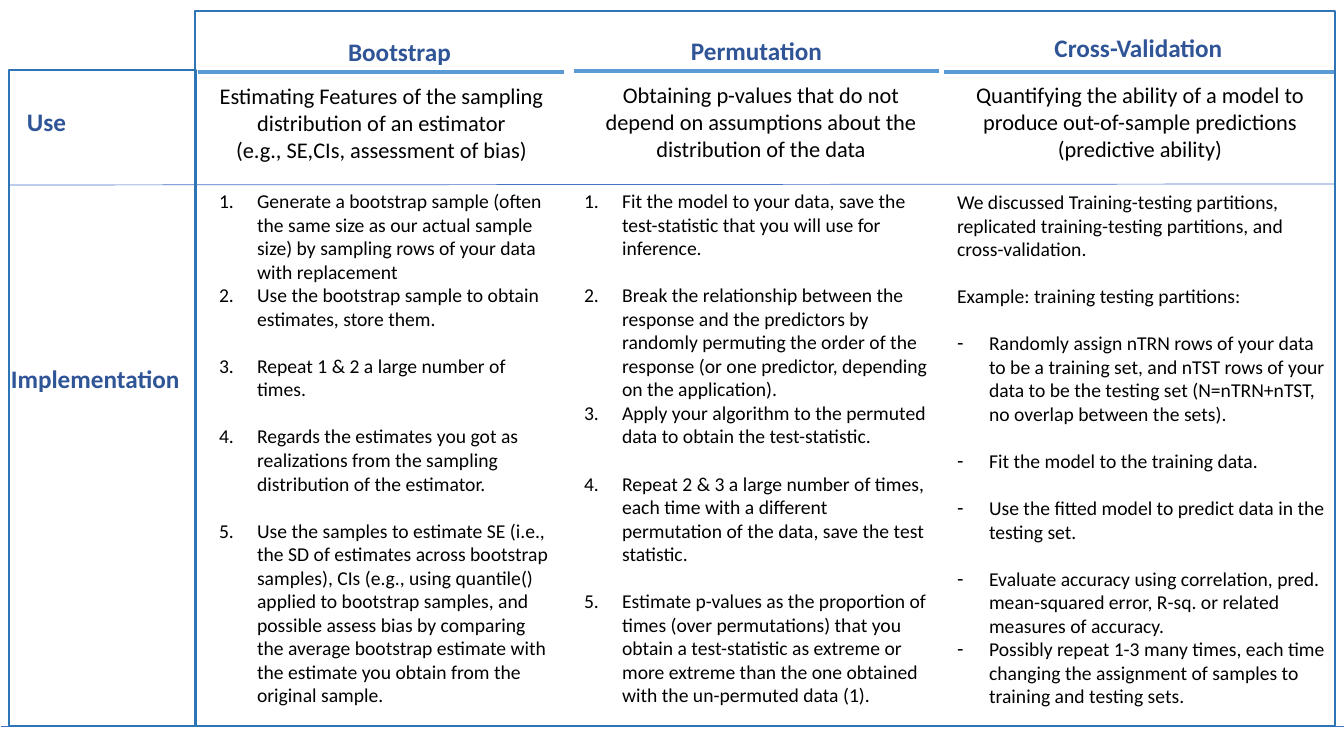
import pptx
import pptx.util
import pptx.dml.color
import pptx.enum.shapes
import pptx.enum.text
import pptx.oxml
import pptx.oxml.ns

SCALE = 914400 / 100.8
HUES = {"head": "2F5597", "text": "000000", "bar": "5B9BD5",
        "rule": "4472C4", "frame": "2E75B6"}
ALIGN = pptx.enum.text.PP_ALIGN
HEAD = {"size": pptx.util.Pt(18), "bold": True, "name": "Calibri"}
USE = {"size": pptx.util.Pt(16), "bold": False, "name": "Calibri"}
STEP = {"size": pptx.util.Pt(14), "bold": False, "name": "Calibri"}
BOX = {"word_wrap": True,
       "auto_size": pptx.enum.text.MSO_AUTO_SIZE.NONE,
       "vertical_anchor": pptx.enum.text.MSO_ANCHOR.TOP}
GAP = 16.8
INDENT = {"num": 38, "dash": 32, "plain": 0}
MARK = {"num": ("buAutoNum", "type", "arabicPeriod"),
        "dash": ("buChar", "char", "-"),
        "plain": ("buNone", None, None)}

HEADS = [
    ("Bootstrap", (261, 31, 277, 40), ALIGN.CENTER),
    ("Permutation", (618, 30, 277, 40), ALIGN.CENTER),
    ("Cross-Validation", (1000, 27, 277, 40), ALIGN.CENTER),
    ("Use", (17, 101, 182, 40), ALIGN.LEFT),
    ("Implementation", (1, 358, 212, 40), ALIGN.LEFT),
]
USES = [
    (["Estimating Features of the sampling distribution of an estimator",
      "(e.g., SE,CIs, assessment of bias)"], (195, 77, 373, 92)),
    (["Obtaining p-values that do not depend on assumptions about the "
      "distribution of the data"], (593, 76, 336, 146)),
    (["Quantifying the ability of a model to produce out-of-sample "
      "predictions (predictive ability)"], (952, 76, 376, 92)),
]
BOOT = [
    ("num", 0, "Generate a bootstrap sample (often the same size as our actual "
     "sample size) by sampling rows of your data with replacement"),
    ("num", 0, "Use the bootstrap sample to obtain estimates, store them."),
    ("num", 1, "Repeat 1 & 2 a large number of times."),
    ("num", 1, "Regards the estimates you got as realizations from the "
     "sampling distribution of the estimator."),
    ("num", 1, "Use the samples to estimate SE (i.e., the SD of estimates "
     "across bootstrap samples), CIs (e.g., using quantile() applied to "
     "bootstrap samples, and possible assess bias by comparing the average "
     "bootstrap estimate with the estimate you obtain from the original "
     "sample."),
]
PERM = [
    ("num", 0, "Fit the model to your data, save the test-statistic that you "
     "will use for inference."),
    ("num", 1, "Break the relationship between the response and the predictors "
     "by randomly permuting the order of the response (or one predictor, "
     "depending on the application)."),
    ("num", 0, "Apply your algorithm to the permuted data to obtain the "
     "test-statistic."),
    ("num", 1, "Repeat 2 & 3 a large number of times, each time with a "
     "different permutation of the data, save the test statistic."),
    ("num", 1, "Estimate p-values as the proportion of times (over "
     "permutations) that you obtain a test-statistic as extreme or more "
     "extreme than the one obtained with the un-permuted data (1)."),
]
CROSS = [
    ("plain", 0, "We discussed Training-testing partitions, replicated "
     "training-testing partitions, and cross-validation."),
    ("plain", 1, "Example: training testing partitions:"),
    ("dash", 1, "Randomly assign nTRN rows of your data to be a training set, "
     "and nTST rows of your data to be the testing set (N=nTRN+nTST, no "
     "overlap between the sets)."),
    ("dash", 1, "Fit the model to the training data."),
    ("dash", 1, "Use the fitted model to predict data in the testing set."),
    ("dash", 1, "Evaluate accuracy using correlation, pred. mean-squared "
     "error, R-sq. or related measures of accuracy."),
    ("dash", 0, "Possibly repeat 1-3 many times, each time changing the "
     "assignment of samples to training and testing sets."),
]
LISTS = {1: (BOOT, (209, 184, 352, 532)),
         2: (PERM, (574, 184, 366, 560)),
         4: (CROSS, (947, 185, 397, 556))}
LINES = [
    ((944, 72, 1335, 72), "bar", 3),
    ((574, 71, 939, 71), "bar", 3),
    ((198, 72, 564, 72), "bar", 3),
    ((9, 185, 1335, 184), "rule", 0.5),
    ((1, 726, 1344, 726), "rule", 0.5),
]
FRAMES = [(195, 11, 1140, 715), (9, 70, 187, 656)]


def px(n):
    return pptx.util.Emu(round(n * SCALE))


def hue(key):
    return pptx.dml.color.RGBColor.from_string(HUES[key])


def apply(item, style):
    for key, value in style.items():
        setattr(item, key, value)


def write(para, text, style, tint):
    run = para.add_run()
    run.text = text
    apply(run.font, style)
    run.font.color.rgb = hue(tint)


def fill(frame, texts):
    apply(frame, BOX)
    for i, text in enumerate(texts):
        yield (frame.add_paragraph() if i else frame.paragraphs[0]), text


def label(slide, texts, at, align, style, tint):
    box = slide.shapes.add_textbox(*map(px, at))
    for para, text in fill(box.text_frame, texts):
        para.alignment = align
        write(para, text, style, tint)


def mark(para, kind):
    props = para._p.get_or_add_pPr()
    props.set("marL", str(px(INDENT[kind])))
    props.set("indent", str(-px(INDENT[kind])))
    tag, key, value = MARK[kind]
    node = pptx.oxml.parse_xml(
        "<a:%s %s/>" % (tag, pptx.oxml.ns.nsdecls("a")))
    if key:
        node.set(key, value)
    props.append(node)


def steps(body, items, at):
    apply(body, dict(zip(("left", "top", "width", "height"), map(px, at))))
    for para, (kind, gap, text) in fill(body.text_frame, items):
        para.alignment = ALIGN.LEFT
        para.space_before = pptx.util.Pt(GAP * gap)
        mark(para, kind)
        write(para, text, STEP, "text")


def rule(slide, ends, tint, width):
    kind = pptx.enum.shapes.MSO_CONNECTOR.STRAIGHT
    line = slide.shapes.add_connector(kind, *map(px, ends))
    line.line.color.rgb = hue(tint)
    line.line.width = pptx.util.Pt(width)
    line._element.spPr.append(pptx.oxml.parse_xml(
        "<a:effectLst %s/>" % pptx.oxml.ns.nsdecls("a")))


def border(slide, at):
    kind = pptx.enum.shapes.MSO_SHAPE.RECTANGLE
    rect = slide.shapes.add_shape(kind, *map(px, at))
    rect.shadow.inherit = False
    rect.fill.background()
    rect.line.color.rgb = hue("frame")
    rect.line.width = pptx.util.Pt(1)


def main():
    deck = pptx.Presentation()
    deck.slide_width, deck.slide_height = px(1344), px(756)
    slide = deck.slides.add_slide(deck.slide_layouts.get_by_name("Comparison"))
    for body in list(slide.placeholders):
        idx = body.placeholder_format.idx
        if idx in LISTS:
            steps(body, *LISTS[idx])
        else:
            body.element.getparent().remove(body.element)
    for text, at, align in HEADS:
        label(slide, [text], at, align, HEAD, "head")
    for texts, at in USES:
        label(slide, texts, at, ALIGN.CENTER, USE, "text")
    for ends, tint, width in LINES:
        rule(slide, ends, tint, width)
    for at in FRAMES:
        border(slide, at)
    deck.save("out.pptx")


main()
